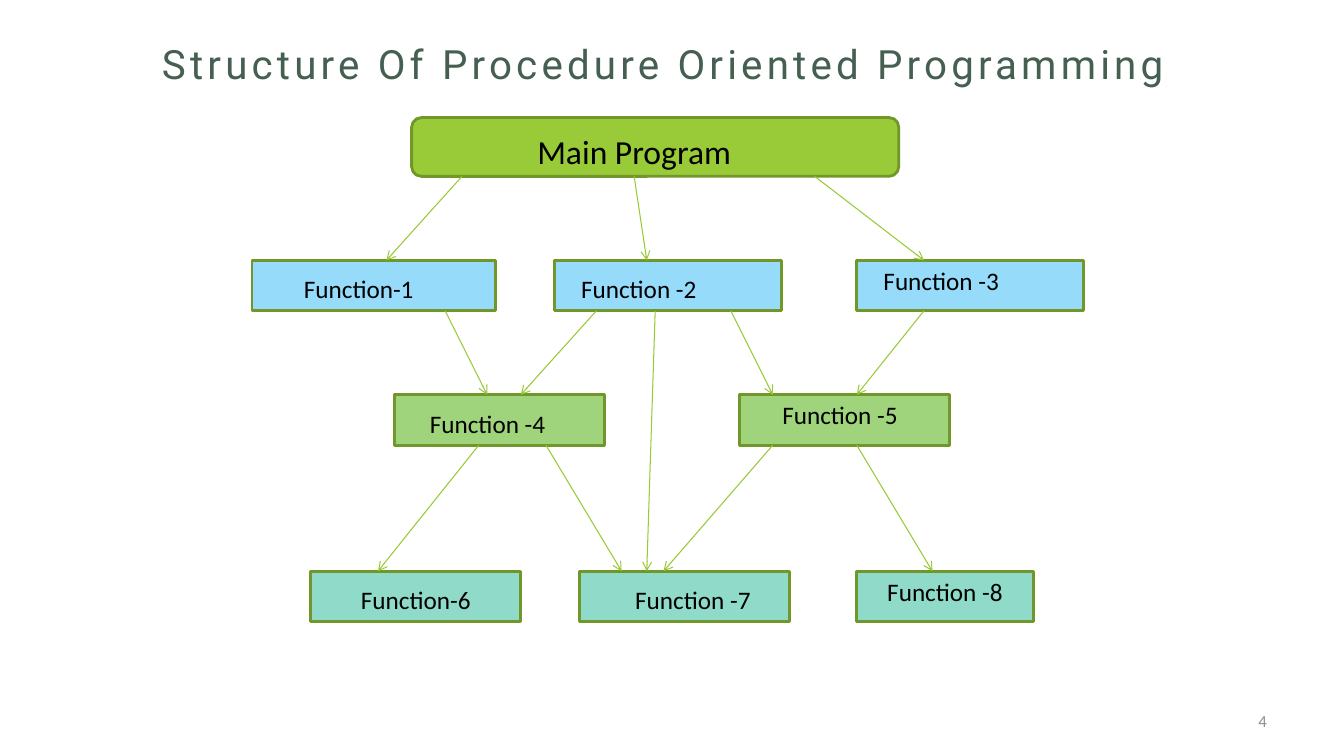
import pptx
import pptx.dml.color
import pptx.enum.shapes
import pptx.enum.text
import pptx.oxml.ns
import pptx.util
from lxml import etree

Pt = pptx.util.Pt
RGBColor = pptx.dml.color.RGBColor
Shape = pptx.enum.shapes.MSO_SHAPE
Align = pptx.enum.text.PP_ALIGN
Anchor = pptx.enum.text.MSO_ANCHOR
AutoSize = pptx.enum.text.MSO_AUTO_SIZE
qn = pptx.oxml.ns.qn

BLACK = RGBColor(0x00, 0x00, 0x00)
SLATE = RGBColor(0x45, 0x5F, 0x51)
GREY = RGBColor(0x8C, 0x8C, 0x8C)
OUTLINE = RGBColor(0x71, 0x96, 0x29)
ARROW = RGBColor(0x97, 0xCA, 0x33)
LIME = RGBColor(0x99, 0xCB, 0x38)
BLUE = RGBColor(0x97, 0xDB, 0xFB)
GREEN = RGBColor(0x9F, 0xD4, 0x7D)
TEAL = RGBColor(0x8F, 0xDA, 0xC8)

MAIN_TOP, MAIN_HEIGHT = 84, 42
FUNCTION_HEIGHT = 36
LABEL_HEIGHT = 29
CALLERS_TOP, HELPERS_TOP, LEAVES_TOP = 186, 282, 408
MAIN_BOTTOM = MAIN_TOP + MAIN_HEIGHT
CALLERS_BOTTOM = CALLERS_TOP + FUNCTION_HEIGHT
HELPERS_BOTTOM = HELPERS_TOP + FUNCTION_HEIGHT

LEFT, CENTER = Align.LEFT, Align.CENTER

FUNCTION_ROWS = [
    (CALLERS_TOP, BLUE, [
        (180, 174, "Function-1", 210, 6, 102, LEFT),
        (396, 162, "Function -2", 408, 6, 138, LEFT),
        (612, 162, "Function -3", 624, 0, 138, LEFT),
    ]),
    (HELPERS_TOP, GREEN, [
        (282, 150, "Function -4", 300, 6, 114, LEFT),
        (528, 150, "Function -5", 534, 0, 132, CENTER),
    ]),
    (LEAVES_TOP, TEAL, [
        (222, 150, "Function-6", 234, 6, 126, CENTER),
        (414, 150, "Function -7", 426, 6, 138, CENTER),
        (612, 126, "Function -8", 618, 0, 114, CENTER),
    ]),
]

CALLS = [
    (MAIN_BOTTOM, CALLERS_TOP, [(330, 276), (453, 462), (582, 660)]),
    (CALLERS_BOTTOM, HELPERS_TOP, [(318, 348), (426, 372), (522, 552), (660, 612)]),
    (CALLERS_BOTTOM, LEAVES_TOP, [(468, 462)]),
    (HELPERS_BOTTOM, LEAVES_TOP, [(342, 270), (390, 444), (552, 474), (612, 666)]),
]


class Diagram:
    font = "Calibri"
    outline_width = 2
    arrow_width = 0.75

    def __init__(self, page):
        self.page = page

    def box(self, left, top, width, height, fill, kind=Shape.RECTANGLE):
        box = self.page.shapes.add_shape(kind, Pt(left), Pt(top), Pt(width), Pt(height))
        box.shadow.inherit = False
        box.fill.solid()
        box.fill.fore_color.rgb = fill
        box.line.color.rgb = OUTLINE
        box.line.width = Pt(self.outline_width)

    def text(self, words, left, top, width, height, size=18, color=BLACK, align=CENTER,
             anchor=Anchor.TOP, grow=True, font=None, spacing=None):
        box = self.page.shapes.add_textbox(Pt(left), Pt(top), Pt(width), Pt(height))
        frame = box.text_frame
        frame.word_wrap = True
        frame.auto_size = AutoSize.SHAPE_TO_FIT_TEXT if grow else AutoSize.NONE
        frame.vertical_anchor = anchor
        para = frame.paragraphs[0]
        para.alignment = align
        span = para.add_run()
        span.text = words
        span.font.name = font or self.font
        span.font.size = Pt(size)
        span.font.color.rgb = color
        if spacing:
            span.font._element.set("spc", str(spacing * 100))

    def arrow(self, start_x, start_y, end_x, end_y):
        arrow = self.page.shapes.add_connector(
            pptx.enum.shapes.MSO_CONNECTOR.STRAIGHT,
            Pt(start_x), Pt(start_y), Pt(end_x), Pt(end_y))
        arrow.line.color.rgb = ARROW
        arrow.line.width = Pt(self.arrow_width)
        properties = arrow._element.spPr
        etree.SubElement(properties.find(qn("a:ln")), qn("a:tailEnd"), type="arrow")
        etree.SubElement(properties, qn("a:effectLst"))


def main():
    deck = pptx.Presentation()
    deck.slide_width, deck.slide_height = Pt(960), Pt(540)
    diagram = Diagram(deck.slides.add_slide(deck.slide_layouts[6]))

    diagram.text("Structure Of Procedure Oriented Programming", 66, 18, 816, 54,
                 size=28.8, color=SLATE, anchor=Anchor.MIDDLE, grow=False,
                 font="Roboto", spacing=3)
    diagram.box(294, MAIN_TOP, 348, MAIN_HEIGHT, LIME, Shape.ROUNDED_RECTANGLE)
    diagram.text("Main Program", 348, 90, 210, 36, size=24)

    for top, fill, functions in FUNCTION_ROWS:
        for left, width, name, label_left, drop, label_width, align in functions:
            diagram.box(left, top, width, FUNCTION_HEIGHT, fill)
            diagram.text(name, label_left, top + drop, label_width, LABEL_HEIGHT, align=align)

    for start_y, end_y, spans in CALLS:
        for start_x, end_x in spans:
            diagram.arrow(start_x, start_y, end_x, end_y)

    diagram.text("4", 688, 500.5, 224, 29, size=12, color=GREY, align=Align.RIGHT,
                 anchor=Anchor.MIDDLE, grow=False)
    deck.save("out.pptx")


if __name__ == "__main__":
    main()
